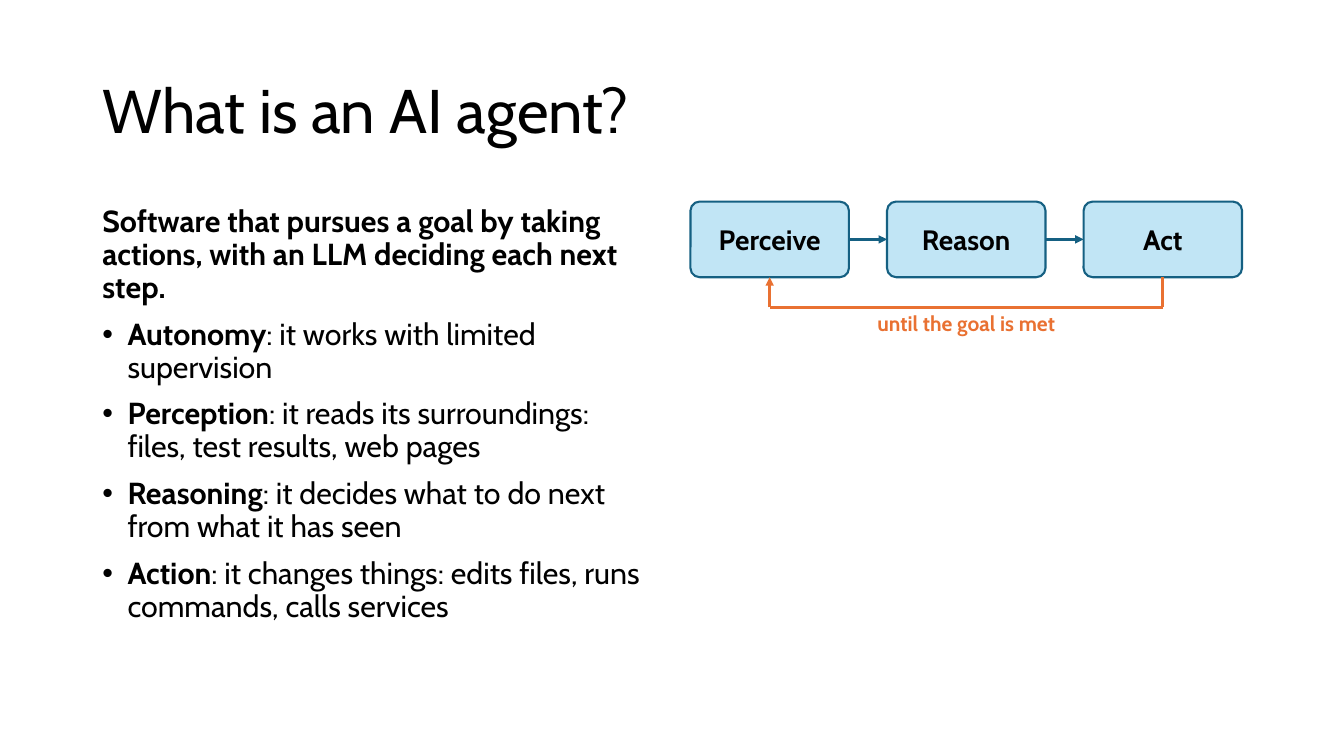
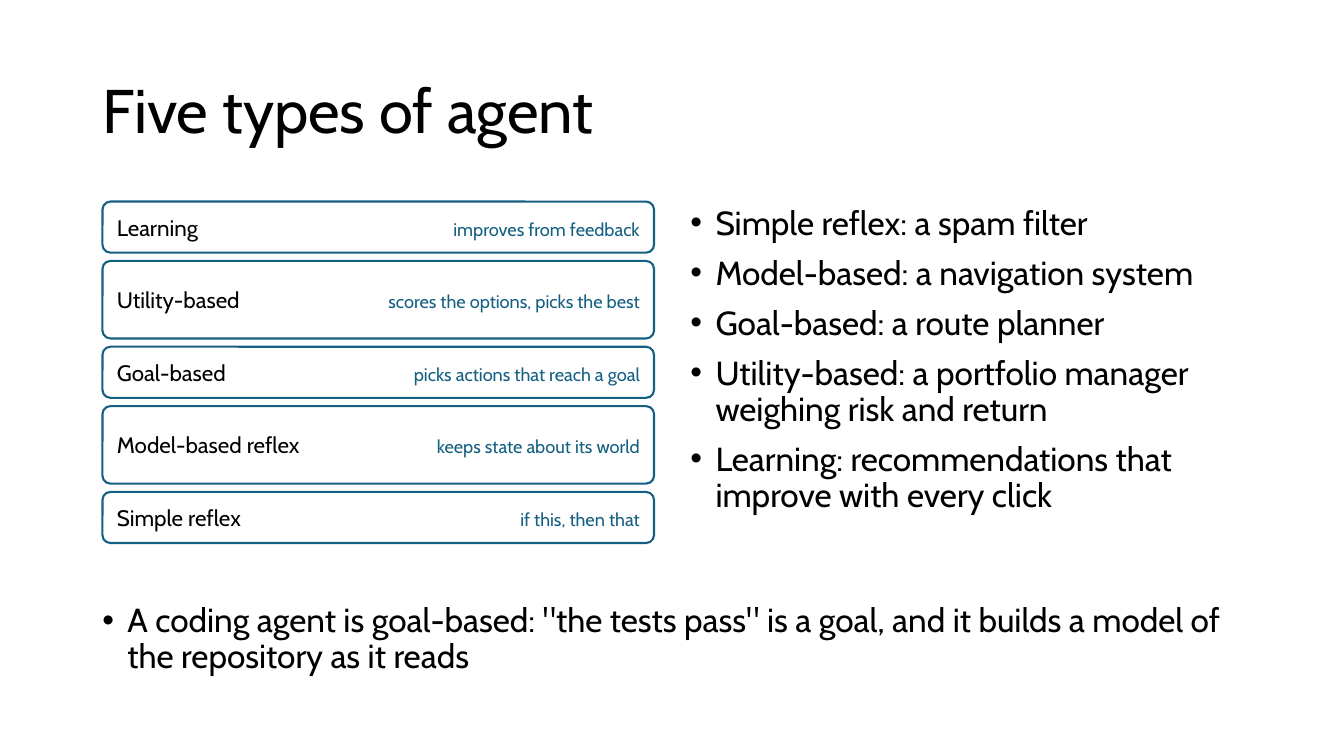
from dataclasses import dataclass
from itertools import pairwise
from typing import NamedTuple, Optional

from pptx import Presentation
from pptx.dml.color import RGBColor
from pptx.enum import shapes, text
from pptx.oxml import ns, xmlchemy
from pptx.util import Pt


@dataclass(frozen=True)
class Theme:
    font: str = "Cabin"
    ink: str = "000000"
    paper: str = "FFFFFF"
    blue: str = "156082"
    pale_blue: str = "C1E5F5"
    orange: str = "E97132"
    title_size: float = 44
    definition_size: float = 21.7
    body_size: float = 23.8
    step_size: float = 20
    loop_size: float = 15
    layer_size: float = 16
    note_size: float = 13
    outline: float = 1.5
    arrow: float = 2
    line_spacing: float = 0.9
    space_before: float = 10
    indent: float = 18


THEME = Theme()


class Box(NamedTuple):
    left: float
    top: float
    width: float
    height: float


class Point(NamedTuple):
    x: float
    y: float


class Joint(NamedTuple):
    shape: object
    site: int


class Span(NamedTuple):
    text: str
    size: float
    color: str = THEME.ink
    bold: bool = False


class Line(NamedTuple):
    spans: list[Span]
    bullet: bool = True


class Layer(NamedTuple):
    name: str
    note: str
    height: float


BOTTOM, LEFT, RIGHT = 2, 1, 3

TITLE = Box(66, 28.8, 828, 104.4)
DEFINITION = Box(66, 144, 408, 342.7)
EXAMPLES = Box(486, 144, 408, 269.3)
CONCLUSION = Box(66, 427.7, 828, 59)

STEPS = ["Perceive", "Reason", "Act"]
STEP = Box(493.2, 144, 113.2, 54)
STEP_PITCH = 140.4
STEP_RADIUS = 6.48
LOOP_DROP = 21.6
LOOP_LABEL_INSET = 7.2

TRAITS = [
    ("Autonomy", ": it works with limited supervision"),
    ("Perception", ": it reads its surroundings: files, test results, web pages"),
    ("Reasoning", ": it decides what to do next from what it has seen"),
    ("Action", ": it changes things: edits files, runs commands, calls services"),
]

SHORT, TALL = 36.5, 55.4
LAYERS = [
    Layer("Learning", "improves from feedback", SHORT),
    Layer("Utility-based", "scores the options, picks the best", TALL),
    Layer("Goal-based", "picks actions that reach a goal", SHORT),
    Layer("Model-based reflex", "keeps state about its world", TALL),
    Layer("Simple reflex", "if this, then that", SHORT),
]
LAYER_LEFT, LAYER_TOP, LAYER_WIDTH = 73.2, 144, 394
LAYER_GAP = 5.9
LAYER_RADIUS = 5.75
LAYER_PADDING = (8.64, 4.32)

EXAMPLE_TEXTS = [
    "Simple reflex: a spam filter",
    "Model-based: a navigation system",
    "Goal-based: a route planner",
    "Utility-based: a portfolio manager weighing risk and return",
    "Learning: recommendations that improve with every click",
]
CONCLUSION_TEXT = (
    'A coding agent is goal-based: "the tests pass" is a goal, '
    "and it builds a model of the repository as it reads"
)


def add_element(parent, tag: str, **attributes: str):
    element = xmlchemy.OxmlElement(tag)
    for name, value in attributes.items():
        element.set(name, value)
    parent.append(element)
    return element


def fill_paragraph(paragraph, spans: list[Span]) -> None:
    for span in spans:
        run = paragraph.add_run()
        run.text = span.text
        run.font.name = THEME.font
        run.font.size = Pt(span.size)
        run.font.bold = span.bold
        run.font.color.rgb = RGBColor.from_string(span.color)


def set_margins(frame, horizontal: float, vertical: float) -> None:
    frame.margin_left = frame.margin_right = Pt(horizontal)
    frame.margin_top = frame.margin_bottom = Pt(vertical)


def add_text_box(slide, box: Box):
    frame = slide.shapes.add_textbox(*map(Pt, box)).text_frame
    frame.word_wrap = True
    return frame


def add_body(slide, box: Box, lines: list[Line]):
    frame = add_text_box(slide, box)
    for index, line in enumerate(lines):
        paragraph = frame.add_paragraph() if index else frame.paragraphs[0]
        if line.bullet:
            properties = paragraph._p.get_or_add_pPr()
            properties.set("marL", str(Pt(THEME.indent)))
            properties.set("indent", str(-Pt(THEME.indent)))
            add_element(properties, "a:buFont", typeface="Arial")
            add_element(properties, "a:buChar", char="•")
        paragraph.line_spacing = THEME.line_spacing
        if index:
            paragraph.space_before = Pt(THEME.space_before)
        fill_paragraph(paragraph, line.spans)
    return frame


def add_slide(presentation, title: str):
    slide = presentation.slides.add_slide(presentation.slide_layouts[6])
    heading = Line([Span(title, THEME.title_size)], bullet=False)
    frame = add_body(slide, TITLE, [heading])
    frame.vertical_anchor = text.MSO_ANCHOR.MIDDLE
    return slide


def add_rounded(slide, box: Box, radius: float, fill: str):
    shape = slide.shapes.add_shape(
        shapes.MSO_SHAPE.ROUNDED_RECTANGLE, *map(Pt, box)
    )
    shape.adjustments[0] = radius / min(box.width, box.height)
    shape.shadow.inherit = False
    shape.fill.solid()
    shape.fill.fore_color.rgb = RGBColor.from_string(fill)
    shape.line.color.rgb = RGBColor.from_string(THEME.blue)
    shape.line.width = Pt(THEME.outline)
    shape.text_frame.vertical_anchor = text.MSO_ANCHOR.MIDDLE
    shape.text_frame.word_wrap = True
    return shape


def add_line(
    slide,
    start: Point,
    end: Point,
    color: str,
    begin: Optional[Joint] = None,
    finish: Optional[Joint] = None,
) -> None:
    """Draw a straight line; one that finishes at a shape gets an arrowhead."""
    connector = slide.shapes.add_connector(
        shapes.MSO_CONNECTOR.STRAIGHT, *map(Pt, (*start, *end))
    )
    connector.line.color.rgb = RGBColor.from_string(color)
    connector.line.width = Pt(THEME.arrow)
    properties = connector._element.spPr
    if begin:
        connector.begin_connect(*begin)
    if finish:
        connector.end_connect(*finish)
        outline = properties.find(ns.qn("a:ln"))
        add_element(outline, "a:tailEnd", type="triangle")
    add_element(properties, "a:effectLst")


def add_step(slide, box: Box, name: str):
    shape = add_rounded(slide, box, STEP_RADIUS, THEME.pale_blue)
    paragraph = shape.text_frame.paragraphs[0]
    paragraph.alignment = text.PP_ALIGN.CENTER
    fill_paragraph(paragraph, [Span(name, THEME.step_size, bold=True)])
    return shape


def add_cycle(slide) -> None:
    boxes = [
        STEP._replace(left=STEP.left + index * STEP_PITCH)
        for index in range(len(STEPS))
    ]
    steps = [add_step(slide, box, name) for box, name in zip(boxes, STEPS)]

    middle = STEP.top + STEP.height / 2
    for (box, step), (next_box, next_step) in pairwise(zip(boxes, steps)):
        add_line(
            slide,
            Point(box.left + box.width, middle),
            Point(next_box.left, middle),
            THEME.blue,
            Joint(step, RIGHT),
            Joint(next_step, LEFT),
        )

    first_x, last_x = (box.left + box.width / 2 for box in (boxes[0], boxes[-1]))
    bottom = STEP.top + STEP.height
    turn = bottom + LOOP_DROP
    corners = [
        Point(last_x, bottom),
        Point(last_x, turn),
        Point(first_x, turn),
        Point(first_x, bottom),
    ]
    begins = [Joint(steps[-1], BOTTOM), None, None]
    finishes = [None, None, Joint(steps[0], BOTTOM)]
    for (start, end), begin, finish in zip(pairwise(corners), begins, finishes):
        add_line(slide, start, end, THEME.orange, begin, finish)

    label_width = last_x - first_x - 2 * LOOP_LABEL_INSET
    label = Box(first_x + LOOP_LABEL_INSET, turn + 2.2, label_width, 22.3)
    frame = add_text_box(slide, label)
    set_margins(frame, 2.16, 0)
    frame.paragraphs[0].alignment = text.PP_ALIGN.CENTER
    caption = Span("until the goal is met", THEME.loop_size, THEME.orange, True)
    fill_paragraph(frame.paragraphs[0], [caption])


def add_layers(slide) -> None:
    top = LAYER_TOP
    tab = LAYER_WIDTH - 2 * LAYER_PADDING[0]
    for layer in LAYERS:
        box = Box(LAYER_LEFT, top, LAYER_WIDTH, layer.height)
        frame = add_rounded(slide, box, LAYER_RADIUS, THEME.paper).text_frame
        set_margins(frame, *LAYER_PADDING)
        paragraph = frame.paragraphs[0]
        paragraph.alignment = text.PP_ALIGN.LEFT
        tabs = add_element(paragraph._p.get_or_add_pPr(), "a:tabLst")
        add_element(tabs, "a:tab", pos=str(Pt(tab)), algn="r")
        name = Span(layer.name, THEME.layer_size)
        note = Span("\t" + layer.note, THEME.note_size, THEME.blue)
        fill_paragraph(paragraph, [name, note])
        top += layer.height + LAYER_GAP


def build_definition(presentation) -> None:
    slide = add_slide(presentation, "What is an AI agent?")
    size = THEME.definition_size
    summary = (
        "Software that pursues a goal by taking actions, "
        "with an LLM deciding each next step."
    )
    lines = [Line([Span(summary, size, bold=True)], bullet=False)]
    for term, meaning in TRAITS:
        lines.append(Line([Span(term, size, bold=True), Span(meaning, size)]))
    add_body(slide, DEFINITION, lines)
    add_cycle(slide)


def build_types(presentation) -> None:
    slide = add_slide(presentation, "Five types of agent")
    examples = [Line([Span(example, THEME.body_size)]) for example in EXAMPLE_TEXTS]
    add_body(slide, EXAMPLES, examples)
    add_layers(slide)
    add_body(slide, CONCLUSION, [Line([Span(CONCLUSION_TEXT, THEME.body_size)])])


def main() -> None:
    presentation = Presentation()
    presentation.slide_width, presentation.slide_height = Pt(960), Pt(540)
    build_definition(presentation)
    build_types(presentation)
    presentation.save("out.pptx")


if __name__ == "__main__":
    main()
